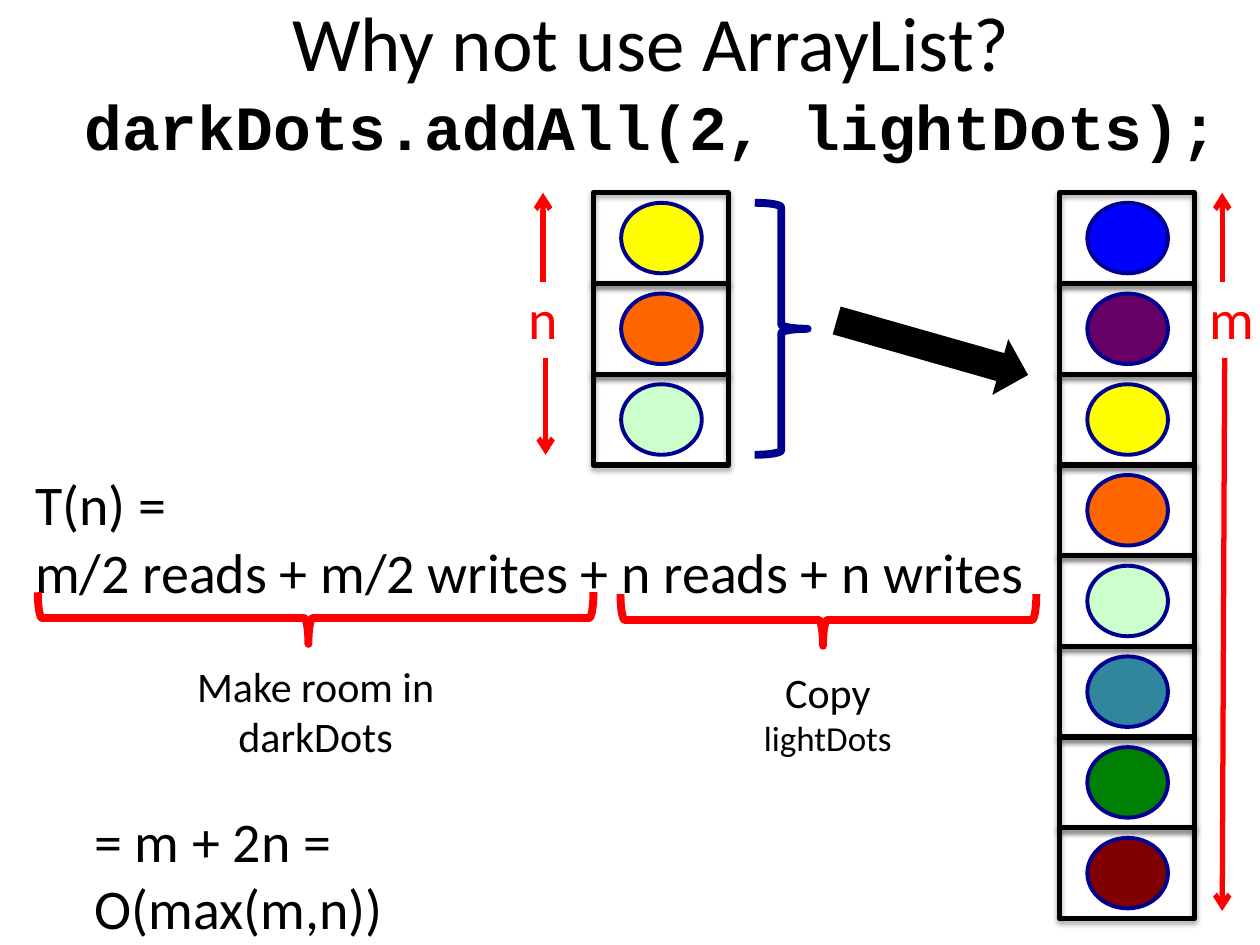
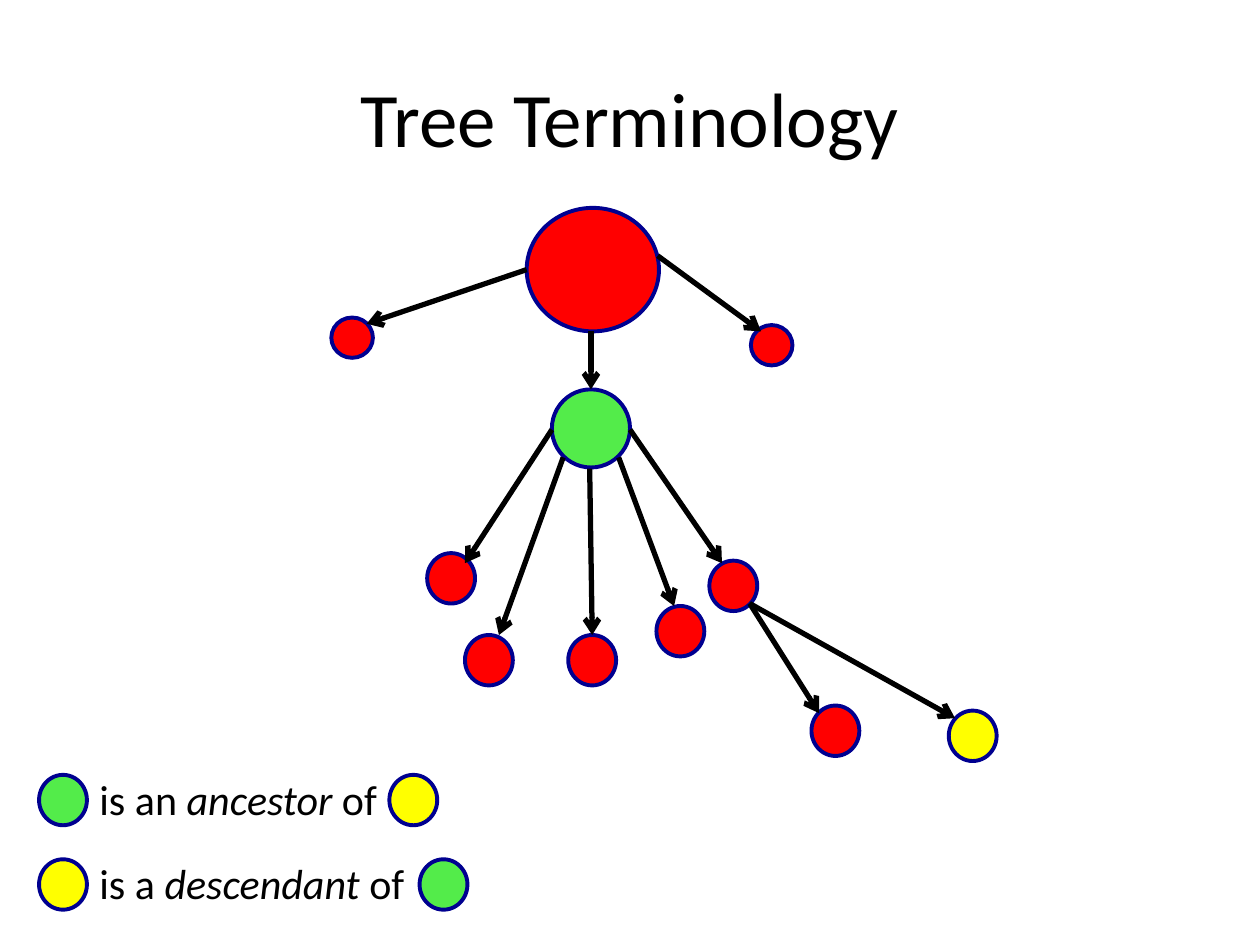
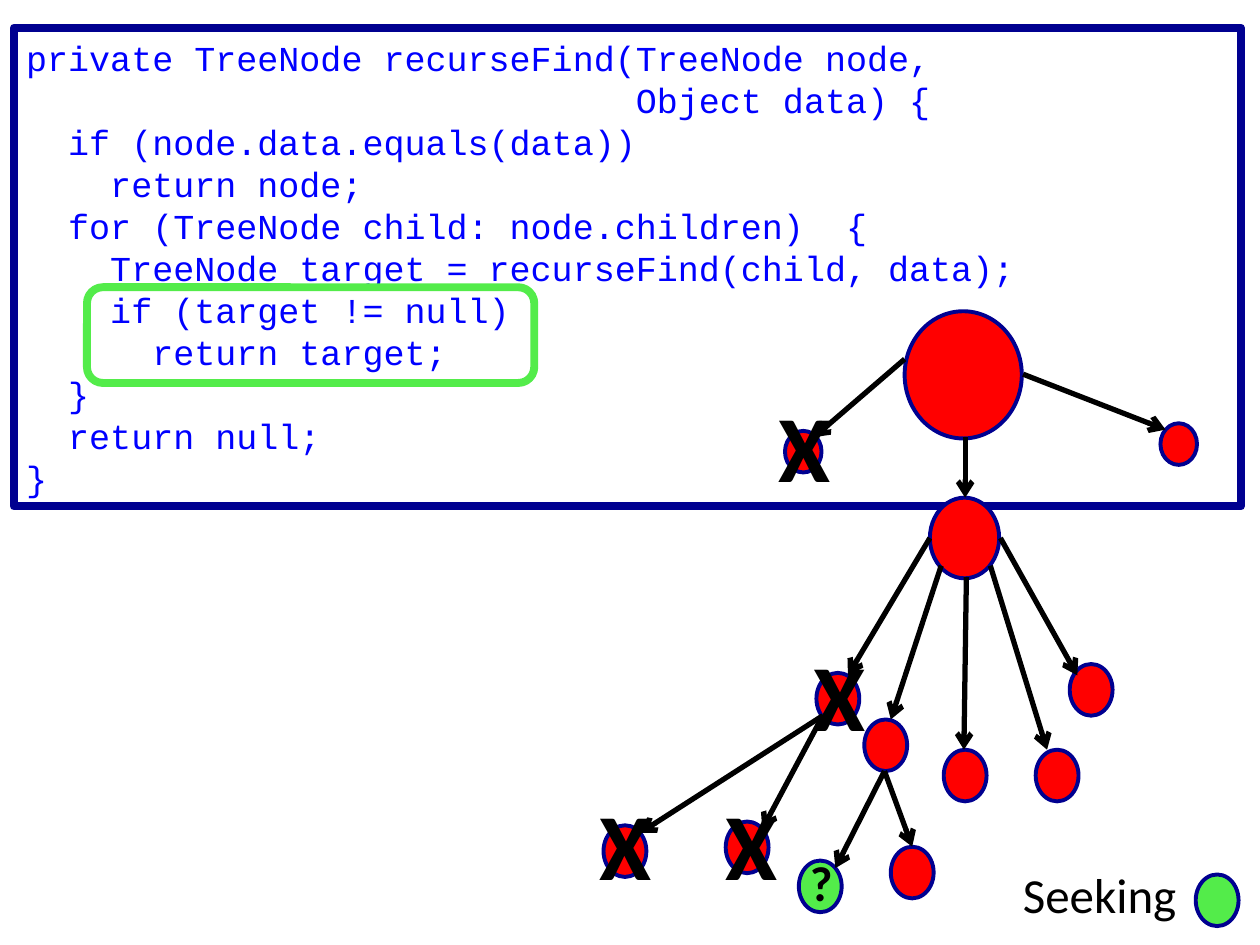
import dataclasses

import lxml.etree
import pptx
import pptx.dml.color
import pptx.enum.shapes
import pptx.enum.text
import pptx.oxml.ns
import pptx.util

Inches = pptx.util.Inches
Pt = pptx.util.Pt
Kind = pptx.enum.shapes.MSO_SHAPE
Align = pptx.enum.text.PP_ALIGN
Anchor = pptx.enum.text.MSO_ANCHOR
qn = pptx.oxml.ns.qn


@dataclasses.dataclass(frozen=True)
class Theme:
    body: str = "Calibri"
    mono: str = "Courier New"
    black: str = "000000"
    navy: str = "000090"
    blue: str = "0000FF"
    red: str = "FF0000"
    green: str = "53EC4A"
    yellow: str = "FFFF00"
    orange: str = "FF6600"
    mint: str = "CCFFCC"
    plum: str = "660066"
    teal: str = "31859C"
    leaf: str = "008000"
    maroon: str = "800000"
    title: int = 44
    call: int = 36
    large: int = 32
    mid: int = 28
    note: int = 24
    code: int = 20
    cross: int = 54
    thin: float = 2.25
    line: float = 3
    thick: float = 4.5


T = Theme()


def rgb(value):
    return pptx.dml.color.RGBColor.from_string(value)


class Deck:
    def __init__(self):
        self.file = pptx.Presentation()
        self.file.slide_width = Inches(10)
        self.file.slide_height = Inches(7.5)
        self.slide = None

    def page(self):
        self.slide = self.file.slides.add_slide(self.file.slide_layouts[6])

    def style(self, run, size, color=T.black, font=T.body, bold=False, slant=False):
        run.font.size = Pt(size)
        run.font.name = font
        run.font.bold = bold
        run.font.italic = slant
        run.font.color.rgb = rgb(color)

    def label(self, frame, words, size, align=Align.LEFT, **look):
        frame.text = words
        for para in frame.paragraphs:
            para.alignment = align
            for run in para.runs:
                self.style(run, size, **look)

    def text(self, at, words, size, wrap=False, **look):
        frame = self.slide.shapes.add_textbox(*map(Inches, at)).text_frame
        frame.word_wrap = wrap
        self.label(frame, words, size, **look)
        return frame

    def title(self, at, words):
        frame = self.text(at, words, T.title, wrap=True, align=Align.CENTER)
        frame.vertical_anchor = Anchor.MIDDLE
        return frame

    def shape(self, kind, at, fill=None, line=None, width=T.thin, turn=0):
        item = self.slide.shapes.add_shape(kind, *map(Inches, at))
        item.shadow.inherit = False
        item.rotation = turn
        if fill:
            item.fill.solid()
            item.fill.fore_color.rgb = rgb(fill)
        else:
            item.fill.background()
        if line:
            item.line.color.rgb = rgb(line)
            item.line.width = Pt(width)
        else:
            item.line.fill.background()
        return item

    def dot(self, spot, size, fill=T.red):
        self.shape(Kind.OVAL, (*spot, *size), fill, T.navy)

    def dots(self, spots, size, fill=T.red):
        for spot in spots:
            self.dot(spot, size, fill)

    def cell(self, at):
        box = self.shape(Kind.RECTANGLE, at, line=T.black, width=T.line)
        glow = lxml.etree.SubElement(
            box.element.spPr.find(qn("a:effectLst")), qn("a:outerShdw"),
            blurRad="40000", dist="23000", dir="5400000", rotWithShape="0")
        tint = lxml.etree.SubElement(glow, qn("a:srgbClr"), val=T.black)
        lxml.etree.SubElement(tint, qn("a:alpha"), val="35000")

    def stack(self, left, fills):
        top, step = 1.53, 0.72
        for row, fill in enumerate(fills):
            y = top + row * step
            self.cell((left, y, 1.07, step))
            self.dot((left + 0.22, y + 0.08), (0.64, 0.56), fill)

    def brace(self, at):
        item = self.shape(Kind.LEFT_BRACE, at, line=T.red, width=T.thick, turn=270)
        item.adjustments[0] = 0.083
        item.adjustments[1] = 0.487

    def arrow(self, start, end, color=T.black):
        item = self.slide.shapes.add_connector(
            pptx.enum.shapes.MSO_CONNECTOR.STRAIGHT, *map(Inches, (*start, *end)))
        item.line.color.rgb = rgb(color)
        item.line.width = Pt(T.line)
        props = item.element.spPr
        lxml.etree.SubElement(props.find(qn("a:ln")), qn("a:tailEnd"), type="arrow")
        lxml.etree.SubElement(props, qn("a:effectLst"))

    def fan(self, *pairs, color=T.black):
        for start, end in pairs:
            self.arrow(start, end, color)

    def legend(self, top, first, second, gap, lead, term):
        size = (0.38, 0.4)
        self.dot((0.31, top), size, first)
        frame = self.text((0.69, top - 0.06, gap - 0.64, 0.5), lead, T.note)
        for words, slant in ((term, True), (" of", False)):
            run = frame.paragraphs[0].add_run()
            run.text = words
            self.style(run, T.note, slant=slant)
        self.dot((gap, top), size, second)


def draw_lists(deck):
    deck.page()
    frame = deck.title((-0.3, -0.22, 10.94, 2.24),
                       "Why not use ArrayList?\ndarkDots.addAll(2, lightDots);")
    frame.margin_bottom = Inches(0.6)
    deck.style(frame.paragraphs[1].runs[0], T.call, font=T.mono, bold=True)

    light = [T.yellow, T.orange, T.mint]
    deck.stack(4.71, light)
    deck.stack(8.41, [T.blue, T.plum, *light, T.teal, T.leaf, T.maroon])
    deck.shape(Kind.RIGHT_ARROW, (6.61, 2.53, 1.58, 0.46), T.black, turn=15.9)
    deck.shape(Kind.RIGHT_BRACE, (5.99, 1.61, 0.42, 2), line=T.navy, width=T.thick)

    deck.text((4.1, 2.2, 0.44, 0.64), "n", T.large, color=T.red)
    deck.text((9.5, 2.2, 0.56, 0.64), "m", T.large, color=T.red)
    deck.fan(((4.31, 2.24), (4.31, 1.53)), ((4.33, 2.84), (4.33, 3.61)),
             ((9.7, 2.24), (9.7, 1.53)), ((9.72, 2.84), (9.7, 7.23)), color=T.red)

    deck.text((0.18, 3.68, 8.15, 1.18),
              "T(n) =\nm/2 reads + m/2 writes + n reads + n writes", T.large)
    deck.brace((2.3, 2.7, 0.41, 4.41))
    deck.brace((6.37, 3.27, 0.41, 3.3))
    deck.text((0.82, 5.19, 3.37, 0.91), "Make room in darkDots", T.note,
              wrap=True, align=Align.CENTER)
    frame = deck.text((5.31, 5.24, 2.52, 0.84), "Copy\nlightDots", T.note,
                      wrap=True, align=Align.CENTER)
    deck.style(frame.paragraphs[1].runs[0], T.code)
    deck.text((0.65, 6.35, 4.45, 0.64), "= m + 2n = O(max(m,n))", T.large)


def draw_terms(deck):
    deck.page()
    deck.title((0.5, 0.3, 9, 1.25), "Tree Terminology")
    leaf = (0.38, 0.4)
    deck.dot((4.38, 3.09), (0.62, 0.62), T.green)
    deck.dots([(3.39, 4.39), (3.69, 5.04), (4.51, 5.04), (5.21, 4.81),
               (5.63, 4.45), (6.44, 5.6)], leaf)
    deck.dot((7.53, 5.64), leaf, T.yellow)
    deck.dot((4.18, 1.65), (1.05, 0.98))
    deck.dots([(5.96, 2.58), (2.63, 2.52)], (0.33, 0.32))
    deck.fan(((4.68, 3.72), (4.7, 5.04)), ((4.47, 3.63), (3.96, 5.04)),
             ((5, 3.41), (5.73, 4.47)), ((4.91, 3.63), (5.35, 4.81)),
             ((4.38, 3.41), (3.69, 4.47)), ((4.69, 2.63), (4.69, 3.09)),
             ((5.22, 2.03), (6.04, 2.63)), ((4.18, 2.14), (2.91, 2.57)),
             ((5.95, 4.79), (7.58, 5.7)), ((5.95, 4.79), (6.5, 5.66)))
    deck.legend(6.15, T.green, T.yellow, 3.09, "is an ", "ancestor")
    deck.legend(6.82, T.yellow, T.green, 3.33, "is a ", "descendant")


CODE = """private TreeNode recurseFind(TreeNode node,
                             Object data) {
  if (node.data.equals(data))
    return node;
  for (TreeNode child: node.children)  {
    TreeNode target = recurseFind(child, data);
    if (target != null)
      return target;
  }
  return null;
}"""


def draw_search(deck):
    deck.page()
    panel = deck.shape(Kind.RECTANGLE, (0.11, 0.22, 9.74, 3.8),
                       line=T.navy, width=T.thick)
    frame = panel.text_frame
    frame.word_wrap = True
    frame.vertical_anchor = Anchor.MIDDLE
    deck.label(frame, CODE, T.code, color=T.blue, font=T.mono)
    for para in frame.paragraphs:
        para.line_spacing = Pt(24)

    leaf = (0.34, 0.41)
    deck.dot((7.38, 3.95), (0.55, 0.64))
    deck.dots([(8.49, 5.27), (8.22, 5.95), (7.49, 5.95), (6.86, 5.71),
               (6.48, 5.34), (5.76, 6.52), (4.79, 6.55), (7.07, 6.72)], leaf)
    deck.dots([(6.34, 6.83), (9.49, 6.94)], leaf, T.green)
    deck.dot((7.18, 2.47), (0.93, 1.01))
    deck.dots([(6.23, 3.42), (9.21, 3.36)], (0.29, 0.33))
    deck.fan(((7.67, 4.58), (7.65, 5.95)), ((7.86, 4.49), (8.31, 5.95)),
             ((7.38, 4.27), (6.73, 5.36)), ((7.47, 4.49), (7.07, 5.71)),
             ((7.94, 4.27), (8.55, 5.36)), ((7.66, 3.47), (7.66, 3.95)),
             ((7.18, 2.85), (6.46, 3.47)), ((8.12, 2.97), (9.25, 3.41)),
             ((6.53, 5.68), (5.08, 6.61)), ((6.53, 5.68), (6.05, 6.58)),
             ((7.02, 6.12), (6.63, 6.89)), ((7.02, 6.12), (7.24, 6.72)))
    for spot in ((6.08, 3.03), (4.66, 6.19), (5.66, 6.19), (6.36, 5.01)):
        deck.text((*spot, 0.62, 1.01), "X", T.cross, bold=True)
    deck.text((6.33, 6.72, 0.38, 0.57), "?", T.mid, bold=True)
    deck.text((8.02, 6.81, 1.44, 0.57), "Seeking", T.mid)
    deck.shape(Kind.ROUNDED_RECTANGLE, (0.69, 2.28, 3.55, 0.76),
               line=T.green, width=T.thick)


def main():
    deck = Deck()
    draw_lists(deck)
    draw_terms(deck)
    draw_search(deck)
    deck.file.save("out.pptx")


if __name__ == "__main__":
    main()
